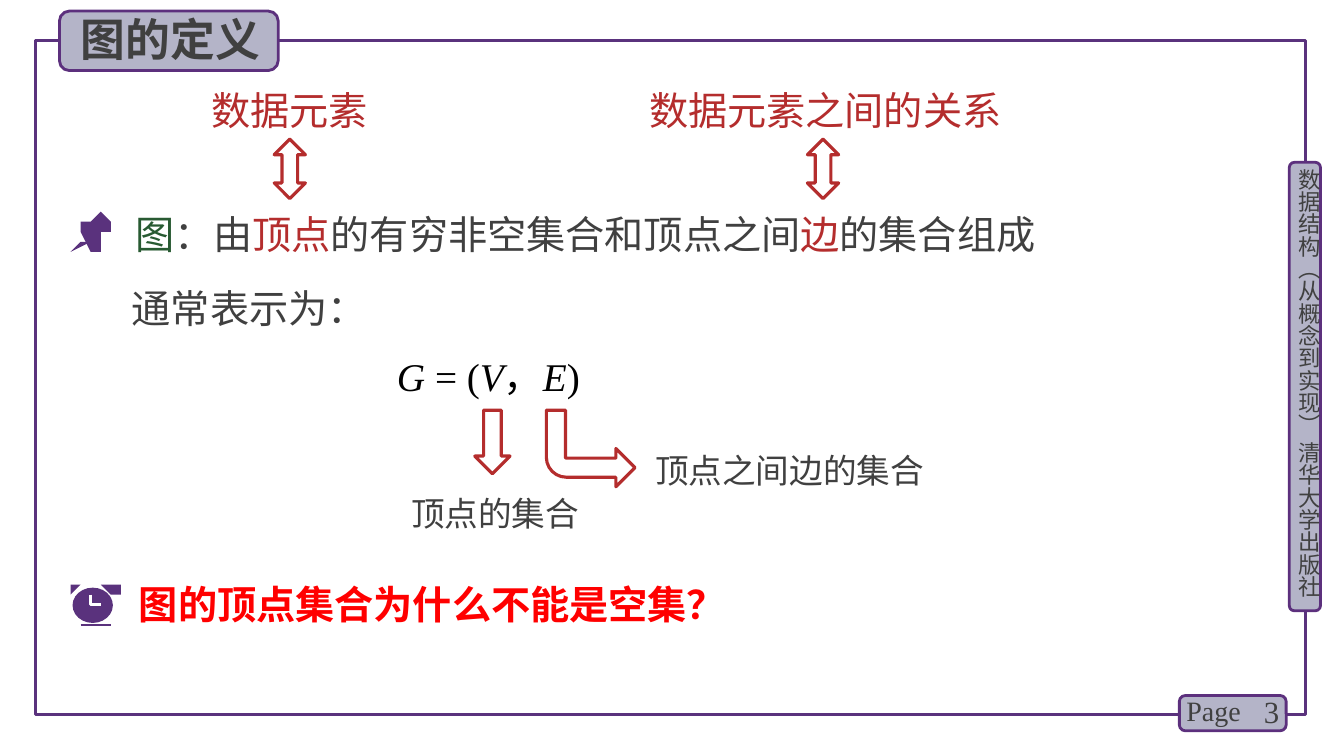
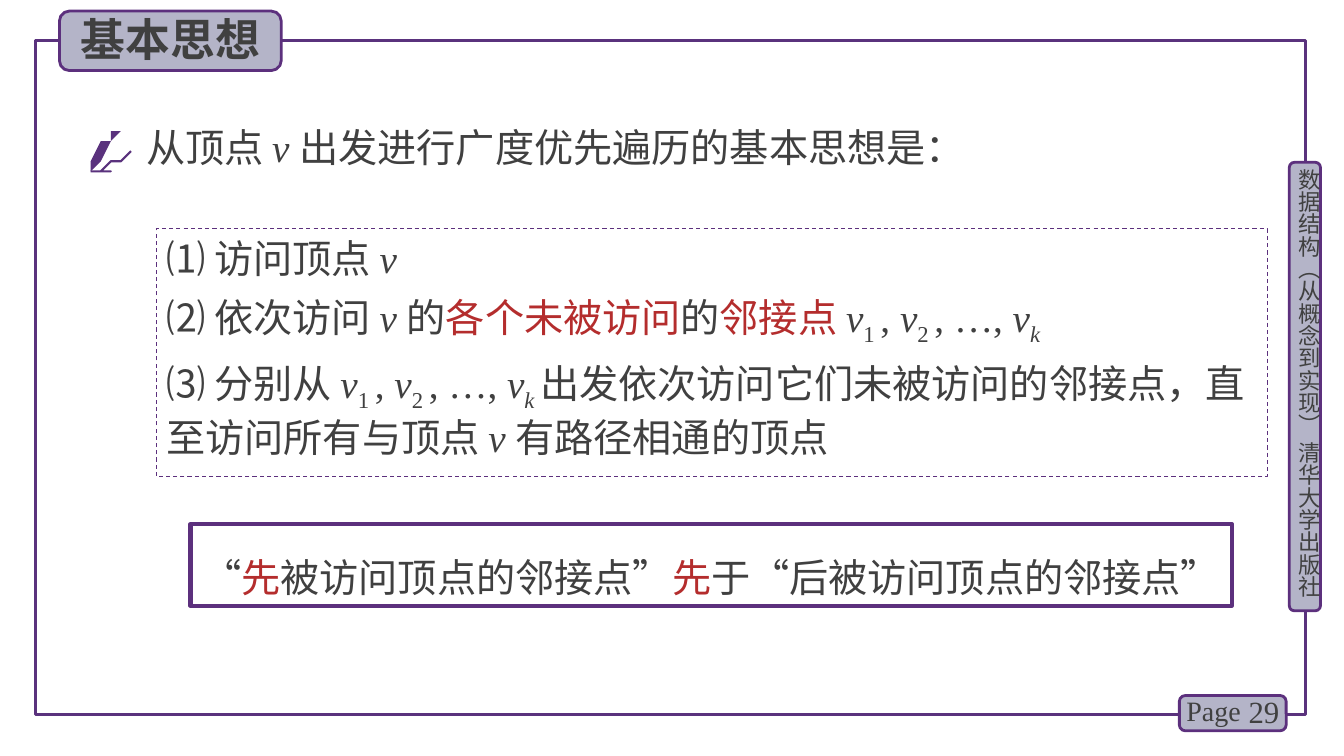
from dataclasses import dataclass

from pptx import Presentation
from pptx.dml.color import RGBColor
from pptx.enum.dml import MSO_LINE
from pptx.enum.shapes import MSO_SHAPE
from pptx.enum.text import MSO_ANCHOR, MSO_AUTO_SIZE, PP_ALIGN
from pptx.oxml.ns import qn
from pptx.util import Inches, Pt

RECTANGLE = MSO_SHAPE.RECTANGLE
ROUNDED = MSO_SHAPE.ROUNDED_RECTANGLE
OVAL = MSO_SHAPE.OVAL
UP_DOWN_ARROW = MSO_SHAPE.UP_DOWN_ARROW
DOWN_ARROW = MSO_SHAPE.DOWN_ARROW
BENT_ARROW = MSO_SHAPE.BENT_ARROW
DASH = MSO_LINE.DASH
TOP, MIDDLE = MSO_ANCHOR.TOP, MSO_ANCHOR.MIDDLE
LEFT, CENTER, RIGHT = PP_ALIGN.LEFT, PP_ALIGN.CENTER, PP_ALIGN.RIGHT

COLUMNS, ROWS = 133.33, 75
CELL = 0.1


@dataclass(frozen=True)
class Theme:
    purple: str = "5A327D"
    border: str = "5C307D"
    badge: str = "B4B4C8"
    text: str = "404040"
    accent: str = "B42D2D"
    term: str = "285A32"
    formula: str = "000000"
    question: str = "FF0000"
    paper: str = "FFFFFF"
    latin: str = "Times New Roman"
    chinese: str = "Noto Sans CJK SC"
    title: int = 32
    body: int = 28
    label: int = 24
    number: int = 22
    page: int = 20
    side: int = 16
    gap: int = 9


THEME = Theme()
STYLES = {
    "accent": (THEME.accent, False, 0),
    "term": (THEME.term, False, 0),
    "variable": (None, True, 0),
    "index": (None, False, -25),
    "variable index": (None, True, -25),
}


def cells(count):
    return Inches(count * CELL)


def color(value):
    return RGBColor.from_string(value)


def place(shape, area):
    shape.left, shape.top, shape.width, shape.height = map(cells, area)


def paint(shape, fill=None, line=None, weight=2.25, dash=None):
    if fill:
        shape.fill.solid()
        shape.fill.fore_color.rgb = color(fill)
    else:
        shape.fill.background()
    if line:
        shape.line.color.rgb = color(line)
        shape.line.width = Pt(weight)
        if dash:
            shape.line.dash_style = dash
    else:
        shape.line.fill.background()


def draw(slide, kind, area, **look):
    shape = slide.shapes.add_shape(kind, *map(cells, area))
    shape.shadow.inherit = False
    paint(shape, **look)
    return shape


def draw_badge(slide, area):
    return draw(slide, ROUNDED, area, fill=THEME.badge, line=THEME.border, weight=2)


def draw_outline(slide, contours, closed=True, **look):
    first, *holes = contours
    builder = slide.shapes.build_freeform(*first[0], scale=Inches(CELL))
    builder.add_line_segments(first[1:], close=closed)
    for hole in holes:
        builder.move_to(*hole[0])
        builder.add_line_segments(hole[1:], close=closed)
    shape = builder.convert_to_shape()
    shape.shadow.inherit = False
    paint(shape, **look)
    return shape


def set_paragraph(paragraph, spans, size=THEME.body, ink=THEME.text, latin=THEME.latin,
                  bold=False, align=LEFT, spacing=1.0, before=0, indent=0):
    properties = paragraph._p.get_or_add_pPr()
    properties.set("marL", str(cells(indent)))
    properties.set("indent", "0")
    paragraph.alignment = align
    paragraph.line_spacing = spacing
    paragraph.space_before = Pt(before)
    properties.append(properties.makeelement(qn("a:buNone"), {}))
    font = paragraph.font
    font.size, font.bold, font.name = Pt(size), bold, latin
    font.color.rgb = color(ink)
    defaults = properties.find(qn("a:defRPr"))
    defaults.append(defaults.makeelement(qn("a:ea"), {"typeface": THEME.chinese}))
    for span in spans:
        text, style = (span, None) if isinstance(span, str) else span
        run = paragraph.add_run()
        run.text = text
        if style:
            tint, italic, shift = STYLES[style]
            run.font.italic = italic
            if tint:
                run.font.color.rgb = color(tint)
            if shift:
                run._r.get_or_add_rPr().set("baseline", str(shift * 1000))


def write(shape, paragraphs, anchor=TOP, **style):
    frame = shape.text_frame
    frame.word_wrap = True
    frame.auto_size = MSO_AUTO_SIZE.NONE
    frame.vertical_anchor = anchor
    for number, spans in enumerate(paragraphs):
        paragraph = frame.add_paragraph() if number else frame.paragraphs[0]
        set_paragraph(paragraph, spans, before=THEME.gap if number else 0, **style)
    return shape


def add_text(slide, area, spans, **style):
    return write(slide.shapes.add_textbox(*map(cells, area)), [spans], **style)


def add_body(slide, area, paragraphs, **style):
    body = slide.placeholders[1]
    place(body, area)
    return write(body, paragraphs, **style)


def build_frame(slide, layout):
    side = add_text(slide, (128.5, 16.7, 2.7, 44.9),
                    ["数据结构（从概念到实现） 清华大学出版社"],
                    size=THEME.side, latin=THEME.chinese)
    frame = side.text_frame
    frame.margin_left = frame.margin_right = frame.margin_top = frame.margin_bottom = 0
    frame._txBody.bodyPr.set("vert", "eaVert")
    shared = [
        draw(slide, RECTANGLE, (3.5, 4, 126, 66.9), line=THEME.purple),
        draw_badge(slide, (127.9, 16.1, 3.1, 44.5)),
        side,
        draw_badge(slide, (117, 69, 10.6, 3.5)),
        add_text(slide, (116.7, 68.3, 7.8, 4.4), ["Page"], size=THEME.page),
    ]
    for shape in shared:
        layout.shapes._spTree.append(shape._element)


def add_heading(slide, text, number, badge_width):
    title = slide.shapes.title
    place(title, (7, 0.7, 20.8, 6.4))
    write(title, [[text]], size=THEME.title, latin=THEME.chinese, bold=True)
    badge = draw_badge(slide, (5.9, 1.1, badge_width, 5.9))
    title._element.addprevious(badge._element)
    add_text(slide, (122, 68.6, 5.9, 4), [str(number)],
             size=THEME.number, align=RIGHT, anchor=MIDDLE)


def draw_pin(slide):
    head = [(11, 22.4), (9.8, 21.2), (9.4, 21.5), (9.5, 21.7), (8.9, 22.3), (8.2, 22.3),
            (7.6, 22.7), (7.6, 22.8), (9.4, 24.6), (9.5, 24.6), (9.9, 24), (9.9, 23.3),
            (10.4, 22.7), (10.6, 22.9), (11.1, 22.4)]
    needle = [(7.3, 25.1), (7.1, 24.9), (8.5, 23.6), (8.7, 23.7)]
    for outline in (head, needle):
        draw_outline(slide, [outline], fill=THEME.purple)


def draw_clock(slide):
    axis = 9.2
    bell = [(-1.7, 57.9), (-2.3, 58.1), (-2.5, 58.6), (-2.4, 59.1), (-2.2, 59.1),
            (-1, 58.3), (-1, 58.1), (-1.3, 57.9)]
    for side in (1, -1):
        draw_outline(slide, [[(axis + side * x, y) for x, y in bell]], fill=THEME.purple)
    draw(slide, OVAL, (7.2, 58.3, 4, 3.5), fill=THEME.purple)
    hands = [(axis, 58.85), (axis, 60.05), (9.95, 60.05)]
    feet = [(7.7, 62.5), (8.1, 62), (10.3, 62), (10.7, 62.5)]
    draw_outline(slide, [hands], closed=False, line=THEME.paper, weight=2)
    draw_outline(slide, [feet], closed=False, line=THEME.purple, weight=1.5)


def draw_pen(slide):
    cap = [(11.3, 13.5), (11.4, 13.5), (11.6, 13.1), (11.6, 13), (11, 12.7), (10.7, 13.2)]
    tip = [(9.5, 16.5), (9.3, 16.2), (9, 16.2), (8.9, 16.9), (8.9, 17), (9.6, 16.5)]
    barrel = [(9.7, 16.4), (11.2, 13.9), (11.2, 13.8), (10.5, 13.5), (9, 16), (9.4, 16.1)]
    slot = [(10, 14.9), (10.7, 13.8), (10.8, 13.7), (10.8, 13.9), (10.2, 15), (10.1, 15)]
    stroke = [(12.7, 15.45), (12.3, 15.6), (12, 15.9), (12, 16.1), (12.1, 16.35),
              (11.8, 16.45), (11.2, 16.5), (10.3, 16.65), (10.1, 16.75), (10.3, 17),
              (10.6, 17.2), (10.5, 17.3), (9.7, 17.2), (9.1, 17.2)]
    for contours in ([cap], [tip], [barrel, slot]):
        draw_outline(slide, contours, fill=THEME.purple)
    draw_outline(slide, [stroke], closed=False, line=THEME.purple, weight=1.5)


def build_definition(slide):
    add_heading(slide, "图的定义", 3, 21.7)
    add_body(slide, (12.4, 19.4, 112.5, 6.7), [[
        ("图", "term"), "：由", ("顶点", "accent"), "的有穷非空集合和顶点之间",
        ("边", "accent"), "的集合组成"]], spacing=1.2)
    draw_pin(slide)
    for text, left, width, arrow in (("数据元素", 20, 18.1, 27.2),
                                     ("数据元素之间的关系", 63.4, 40.1, 80.1)):
        add_text(slide, (left, 7.1, width, 6.7), [text], ink=THEME.accent, spacing=1.2)
        draw(slide, UP_DOWN_ARROW, (arrow, 13.8, 3.1, 5.9), line=THEME.accent)
    add_text(slide, (12.1, 27.7, 89, 5.7), ["通常表示为："])
    add_text(slide, (38.4, 34.5, 40, 5.7),
             [("G ", "variable"), "= (", ("V", "variable"), "，", ("E", "variable"), ")"],
             ink=THEME.formula)
    draw(slide, DOWN_ARROW, (47.1, 40.7, 3.5, 6.3), line=THEME.accent)
    bent = draw(slide, BENT_ARROW, (54.2, 40.7, 8.8, 7.6), line=THEME.accent)
    bent.adjustments[3] = 0.26
    bent._element.spPr.find(qn("a:xfrm")).set("flipV", "1")
    for text, area in (("顶点的集合", (39.8, 47.6, 20.4, 5.9)),
                       ("顶点之间边的集合", (64, 43.3, 32, 5.9))):
        add_text(slide, area, [text], size=THEME.label, spacing=1.2)
    add_text(slide, (12.8, 57.1, 72.6, 5.7), ["图的顶点集合为什么不能是空集？"],
             ink=THEME.question, latin=THEME.chinese, bold=True)
    draw_clock(slide)


def build_idea(slide):
    add_heading(slide, "基本思想", 29, 22)
    add_text(slide, (13.5, 11.7, 93.2, 5.7),
             ["从顶点 ", ("v ", "variable"), "出发进行广度优先遍历的基本思想是："])
    draw_pen(slide)
    vertex = ("v", "variable")
    neighbours = [vertex, ("1 ", "index"), ", ", vertex, ("2 ", "index"), ", …, ", vertex]
    steps = add_body(slide, (15.5, 22.7, 110.2, 24.6), [
        ["⑴ 访问顶点 ", vertex],
        ["⑵ 依次访问 ", ("v ", "variable"), "的", ("各个未被访问", "accent"), "的",
         ("邻接点 ", "accent"), *neighbours, ("k", "variable index")],
        ["⑶ 分别从 ", *neighbours, ("k ", "variable index"),
         "出发依次访问它们未被访问的邻接点，直至访问所有与顶点 ",
         ("v ", "variable"), "有路径相通的顶点"],
    ])
    paint(steps, line=THEME.border, weight=0.75, dash=DASH)
    rule = draw(slide, RECTANGLE, (18.9, 52, 103.3, 8.1), line=THEME.border, weight=3)
    write(rule, [["“", ("先", "accent"), "被访问顶点的邻接点”", ("先", "accent"),
                  "于“后被访问顶点的邻接点”"]], anchor=MIDDLE, align=CENTER, spacing=1.5)


def main():
    deck = Presentation()
    deck.slide_width, deck.slide_height = cells(COLUMNS), cells(ROWS)
    layout = deck.slide_layouts[1]
    definition, idea = [deck.slides.add_slide(layout) for _ in range(2)]
    build_frame(definition, layout)
    build_definition(definition)
    build_idea(idea)
    deck.save("out.pptx")


if __name__ == "__main__":
    main()
